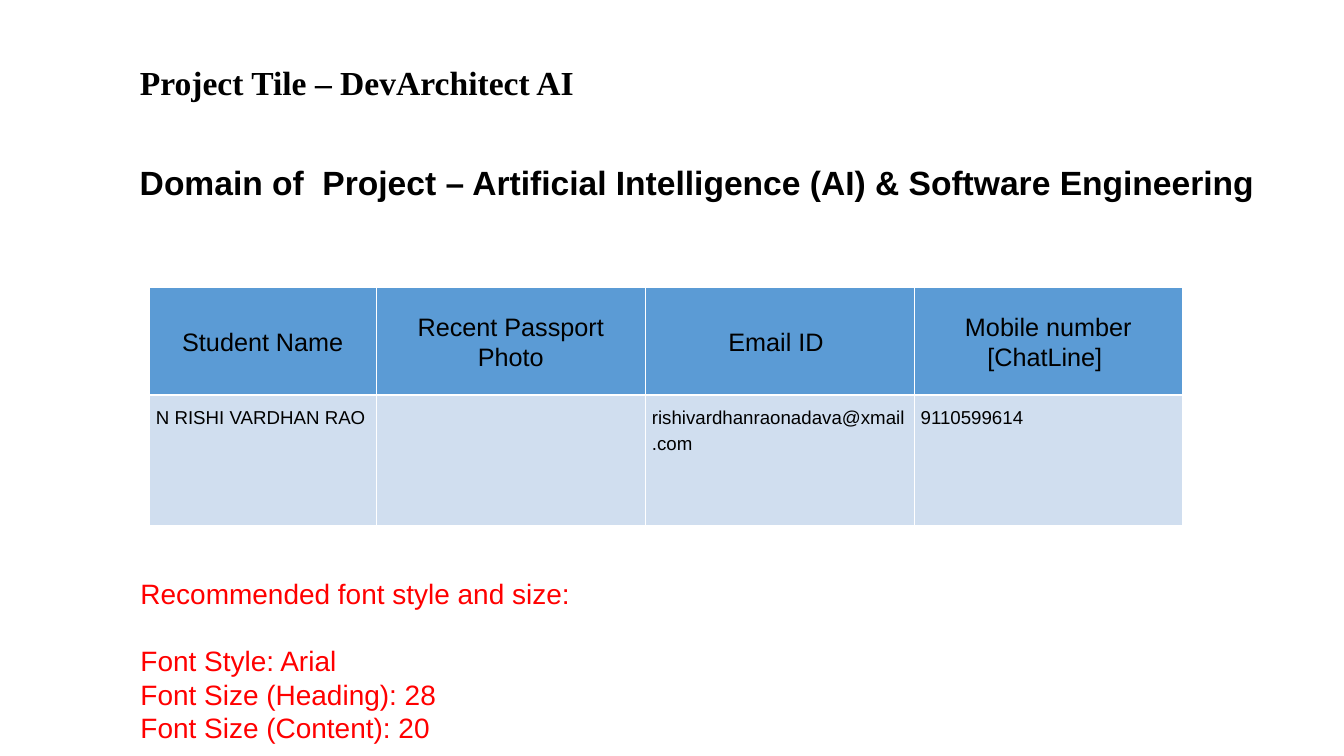
from lxml import etree
from pptx import Presentation
from pptx.dml.color import RGBColor
from pptx.enum.text import MSO_ANCHOR, PP_ALIGN
from pptx.oxml.ns import qn
from pptx.util import Inches, Pt

LEFT, CENTER = PP_ALIGN.LEFT, PP_ALIGN.CENTER
TOP, MIDDLE = MSO_ANCHOR.TOP, MSO_ANCHOR.MIDDLE
BLACK, WHITE, RED = "000000", "FFFFFF", "FF0000"
BLUE, PALE = "5B9BD5", "D0DEEF"


def color(code):
    return RGBColor.from_string(code)


def write(frame, text, size=20, lead=28, font="Arial", ink=BLACK,
          bold=False, align=LEFT, gaps=None):
    """Fill a frame, one paragraph a line; gaps maps line to space before."""
    frame.word_wrap = True
    for i, line in enumerate(text.split("\n")):
        para = frame.paragraphs[0] if i == 0 else frame.add_paragraph()
        para.alignment = align
        para.line_spacing = Pt(lead)
        if gaps and i in gaps:
            para.space_before = Pt(gaps[i])
        run = para.add_run()
        run.text = line
        run.font.name = font
        run.font.size = Pt(size)
        run.font.bold = bold
        run.font.color.rgb = color(ink)


class Deck:
    def __init__(self, wide, high):
        self.show = Presentation()
        self.show.slide_width = Inches(wide)
        self.show.slide_height = Inches(high)
        self.slide = self.show.slides.add_slide(self.show.slide_layouts[6])

    def text(self, x, y, w, h, text, **style):
        frame = self.slide.shapes.add_textbox(
            Inches(x), Inches(y), Inches(w), Inches(h)).text_frame
        frame.margin_left = frame.margin_right = 0
        frame.margin_top = frame.margin_bottom = 0
        write(frame, text, **style)

    def edge(self, cell, **widths):
        """Draw white cell borders, given as side=points."""
        props = cell._tc.get_or_add_tcPr()
        for spot, (side, width) in enumerate(widths.items()):
            line = etree.Element(qn(f"a:ln{side}"), w=str(Pt(width)))
            fill = etree.SubElement(line, qn("a:solidFill"))
            etree.SubElement(fill, qn("a:srgbClr"), val=WHITE)
            props.insert(spot, line)

    def table(self, x, y, cols, rows, data, looks):
        table = self.slide.shapes.add_table(
            len(rows), len(cols), Inches(x), Inches(y),
            Inches(sum(cols)), Inches(sum(rows))).table
        for col, width in zip(table.columns, cols):
            col.width = Inches(width)
        for r, (high, look) in enumerate(zip(rows, looks)):
            table.rows[r].height = Inches(high)
            for c, text in enumerate(data[r]):
                cell = table.cell(r, c)
                cell.margin_left = cell.margin_right = Inches(0.1)
                cell.margin_top = cell.margin_bottom = Inches(0.1)
                cell.vertical_anchor = look["anchor"]
                cell.fill.solid()
                cell.fill.fore_color.rgb = color(look["fill"])
                self.edge(cell, **look["edges"])
                if text:
                    write(cell.text_frame, text, **look["style"])


def main():
    deck = Deck(20, 11.25)

    # Student table
    head = dict(fill=BLUE, anchor=MIDDLE, edges=dict(L=1, R=1, T=1, B=3),
                style=dict(size=27, lead=32.4, align=CENTER))
    body = dict(fill=PALE, anchor=TOP, edges=dict(L=1, R=1, T=3, B=1),
                style=dict(size=20, lead=28))
    data = [
        ["Student Name", "Recent Passport Photo", "Email ID ",
         "Mobile number\n[ChatLine] "],
        ["N RISHI VARDHAN RAO", "", "rishivardhanraonadava@xmail.com",
         "9110599614"],
    ]
    deck.table(2.22, 4.28, [3.38, 4, 4, 4], [1.6, 1.94], data, [head, body])

    # Headings
    title = dict(size=36, lead=43.2, bold=True)
    deck.text(2.08, 2.41, 16.66, 0.62,
              "Domain of  Project – Artificial Intelligence (AI) "
              "& Software Engineering", **title)
    deck.text(2.08, 0.92, 15.52, 0.62, "Project Tile – DevArchitect AI",
              font="Times New Roman", **title)

    # Font advice
    deck.text(2.09, 8.58, 10.39, 2.6,
              "Recommended font style and size:\nFont Style: Arial\n"
              "Font Size (Heading): 28\nFont Size (Content): 20",
              size=30, lead=36, ink=RED, gaps={1: 36})

    deck.show.save("out.pptx")


if __name__ == "__main__":
    main()
